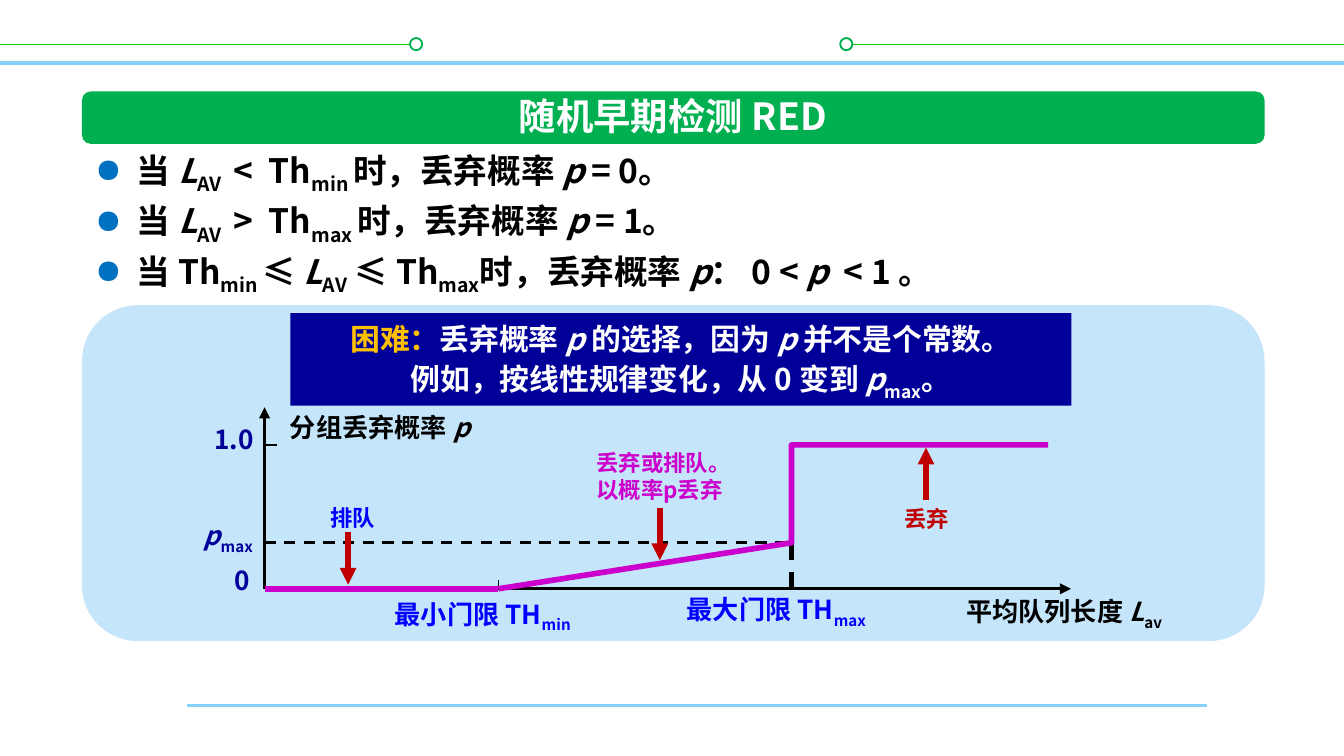
from dataclasses import dataclass

from lxml import etree
from pptx import Presentation
from pptx import util as u
from pptx.dml.color import RGBColor
from pptx.enum import dml, shapes, text
from pptx.oxml import ns

Cm, Pt = u.Cm, u.Pt


@dataclass(frozen=True)
class Theme:
    font: str = "Noto Sans CJK SC"
    black: str = "000000"
    white: str = "FFFFFF"
    sky: str = "85D1F7"
    lime: str = "00CC00"
    green: str = "00B050"
    panel: str = "C5E5FB"
    navy: str = "000099"
    blue: str = "0000FF"
    bullet: str = "0070C0"
    gold: str = "FFC000"
    purple: str = "CC00CC"
    red: str = "C00000"
    title: int = 20
    body: int = 18
    note: int = 16
    label: int = 14
    remark: int = 12


T = Theme()
ALIGN = text.PP_ALIGN


def rgb(value):
    return RGBColor.from_string(value)


def add_xml(parent, tag, **attributes):
    return etree.SubElement(parent, ns.qn(tag), attributes)


# Text: parts split by "|"; a leading "/" is italic, "_" subscript, "!" gold
def write(paragraph, markup, size, color, **formats):
    for name, value in formats.items():
        setattr(paragraph, name, value)
    for part in markup.split("|"):
        mark = part[0] if part[0] in "/_!" else ""
        run = paragraph.add_run()
        run.text = part[len(mark):]
        font = {"size": Pt(size), "bold": True, "italic": mark == "/", "name": T.font}
        for name, value in font.items():
            setattr(run.font, name, value)
        run.font.color.rgb = rgb(T.gold if mark == "!" else color)
        properties = run._r.get_or_add_rPr()
        add_xml(properties, "a:ea", typeface=T.font)
        if mark == "_":
            properties.set("baseline", "-25000")


def fill_frame(frame, lines, size, color, wrap=True, bullets=False, **formats):
    frame.word_wrap = wrap
    frame.auto_size = text.MSO_AUTO_SIZE.SHAPE_TO_FIT_TEXT
    for index, line in enumerate(lines):
        paragraph = frame.add_paragraph() if index else frame.paragraphs[0]
        if bullets:
            add_bullet(paragraph)
        write(paragraph, line, size, color, **formats)


def add_bullet(paragraph):
    properties = paragraph._p.get_or_add_pPr()
    indent = Cm(0.79)
    properties.set("marL", str(indent))
    properties.set("indent", str(-indent))
    add_xml(add_xml(properties, "a:buClr"), "a:srgbClr", val=T.bullet)
    add_xml(properties, "a:buChar", char="●")


def add_label(slide, box, lines, size, color, **options):
    label = slide.shapes.add_textbox(*map(Cm, box))
    fill_frame(label.text_frame, lines, size, color, **options)


# Shapes and lines
def add_block(slide, kind, box, fill, outline=None):
    block = slide.shapes.add_shape(kind, *map(Cm, box))
    block.shadow.inherit = False
    block.fill.solid()
    block.fill.fore_color.rgb = rgb(fill)
    if outline:
        block.line.color.rgb = rgb(outline)
        block.line.width = Pt(1)
    else:
        block.line.fill.background()
    return block


def add_line(slide, start, end, color, width, dash=False, arrow=False):
    line = slide.shapes.add_connector(
        shapes.MSO_CONNECTOR.STRAIGHT, *map(Cm, (*start, *end)))
    line.line.color.rgb = rgb(color)
    line.line.width = Pt(width)
    if dash:
        line.line.dash_style = dml.MSO_LINE.DASH
    if arrow:
        add_xml(line.line._get_or_add_ln(), "a:tailEnd", type="triangle")
    add_xml(line._element.spPr, "a:effectLst")


def add_curve(slide, points, color, width):
    start, *rest = [tuple(map(Cm, point)) for point in points]
    builder = slide.shapes.build_freeform(*start)
    builder.add_line_segments(rest, close=False)
    curve = builder.convert_to_shape()
    curve.shadow.inherit = False
    curve.fill.background()
    curve.line.color.rgb = rgb(color)
    curve.line.width = Pt(width)


def add_frame_lines(slide):
    add_line(slide, (3.53, 13.34), (22.81, 13.34), T.sky, 1.5)
    add_line(slide, (0, 1.19), (25.4, 1.19), T.sky, 2)
    for start, end, ring in ((0, 7.87, 7.75), (15.88, 25.4, 15.88)):
        add_line(slide, (start, 0.84), (end, 0.84), T.lime, 1)
        add_block(slide, shapes.MSO_SHAPE.OVAL, (ring, 0.72, 0.23, 0.23), T.white, T.green)


def add_heading(slide):
    rounded = shapes.MSO_SHAPE.ROUNDED_RECTANGLE
    add_block(slide, rounded, (1.55, 5.77, 22.35, 6.35), T.panel)
    add_block(slide, rounded, (1.55, 1.73, 22.35, 0.99), T.green)
    add_label(slide, (9.4, 1.63, 6.63, 1.12), ["随机早期检测 RED"],
              T.title, T.white, wrap=False, alignment=ALIGN.CENTER)


def add_rules(slide):
    rules = [
        "当 |/L|_AV | <  Th|_min |时，丢弃概率 |/p| = 0。",
        "当 |/L|_AV | >  Th|_max |时，丢弃概率 |/p| = 1。",
        "当 Th|_min |≤ |/L|_AV| ≤ Th|_max|时，丢弃概率 |/p|： 0 < |/p | < 1 。",
    ]
    add_label(slide, (1.55, 2.62, 22.73, 3.15), rules, T.body, T.black,
              bullets=True, line_spacing=Pt(27))


def add_difficulty(slide):
    note = add_block(slide, shapes.MSO_SHAPE.RECTANGLE, (5.49, 5.92, 14.76, 1.75), T.navy)
    lines = ["!困难：|丢弃概率 |/p |的选择，因为 |/p |并不是个常数。",
             "例如，按线性规律变化，从 0 变到 |/p|_max|。"]
    fill_frame(note.text_frame, lines, T.note, T.white,
               alignment=ALIGN.CENTER, line_spacing=1.1)


def add_diagram(slide):
    left, th_min, th_max, right = 5, 9.42, 14.96, 19.81
    base, p_max, p_one = 11.13, 10.26, 8.41

    # Axes, ticks and guides
    add_line(slide, (left, base), (20.24, base), T.black, 1.5, arrow=True)
    add_line(slide, (left, base), (left, 7.7), T.black, 1.5, arrow=True)
    add_line(slide, (th_max, p_max), (th_max, base), T.black, 2.25, dash=True)
    add_line(slide, (th_min, base - 0.16), (th_min, base), T.black, 0.75)
    add_line(slide, (left, p_one), (left + 0.23, p_one), T.black, 0.75)
    add_line(slide, (left, p_max), (th_max, p_max), T.black, 1.5, dash=True)

    # Drop probability
    add_curve(slide, [(th_min, base), (th_max, p_max), (th_max, p_one), (right, p_one)],
              T.purple, 3)
    add_line(slide, (left, base), (th_min, base), T.purple, 3)

    # Axis labels
    for box, line, color, options in (
        ((7.21, 11.18, 4.01, 0.86), "最小门限 TH|_min", T.blue, {"wrap": False}),
        ((12.73, 11.1, 4.09, 0.86), "最大门限 TH|_max", T.blue, {"wrap": False}),
        ((18.01, 11.13, 4.39, 0.86), "平均队列长度 |/L|_av", T.black, {}),
        ((5.23, 7.65, 4.17, 0.86), "分组丢弃概率 |/p", T.black, {}),
        ((3.78, 7.87, 1.27, 0.86), "1.0", T.navy, {"wrap": False, "alignment": ALIGN.RIGHT}),
        ((3.48, 9.7, 1.55, 0.86), "/p|_max", T.navy, {"wrap": False, "alignment": ALIGN.RIGHT}),
        ((4.19, 10.54, 0.76, 0.79), "0", T.navy, {"wrap": False}),
    ):
        add_label(slide, box, [line], T.label, color, **options)

    # Remarks, each with its arrow
    for box, line, color, x, start, end in (
        ((5.99, 9.4, 1.93, 0.76), "排队", T.blue, 6.58, 10.06, 11.05),
        ((11.02, 8.36, 2.97, 1.27), "丢弃或排队。以概率p丢弃", T.purple, 12.47, 9.6, 10.59),
        ((16.84, 9.42, 2.97, 0.76), "丢弃", T.red, 17.5, 9.45, 8.46),
    ):
        add_label(slide, box, [line], T.remark, color)
        add_line(slide, (x, start), (x, end), T.red, 3, arrow=True)


def main():
    deck = Presentation()
    deck.slide_width, deck.slide_height = Cm(25.4), Cm(14.29)
    slide = deck.slides.add_slide(deck.slide_layouts[6])
    add_frame_lines(slide)
    add_heading(slide)
    add_rules(slide)
    add_difficulty(slide)
    add_diagram(slide)
    deck.save("out.pptx")


if __name__ == "__main__":
    main()
